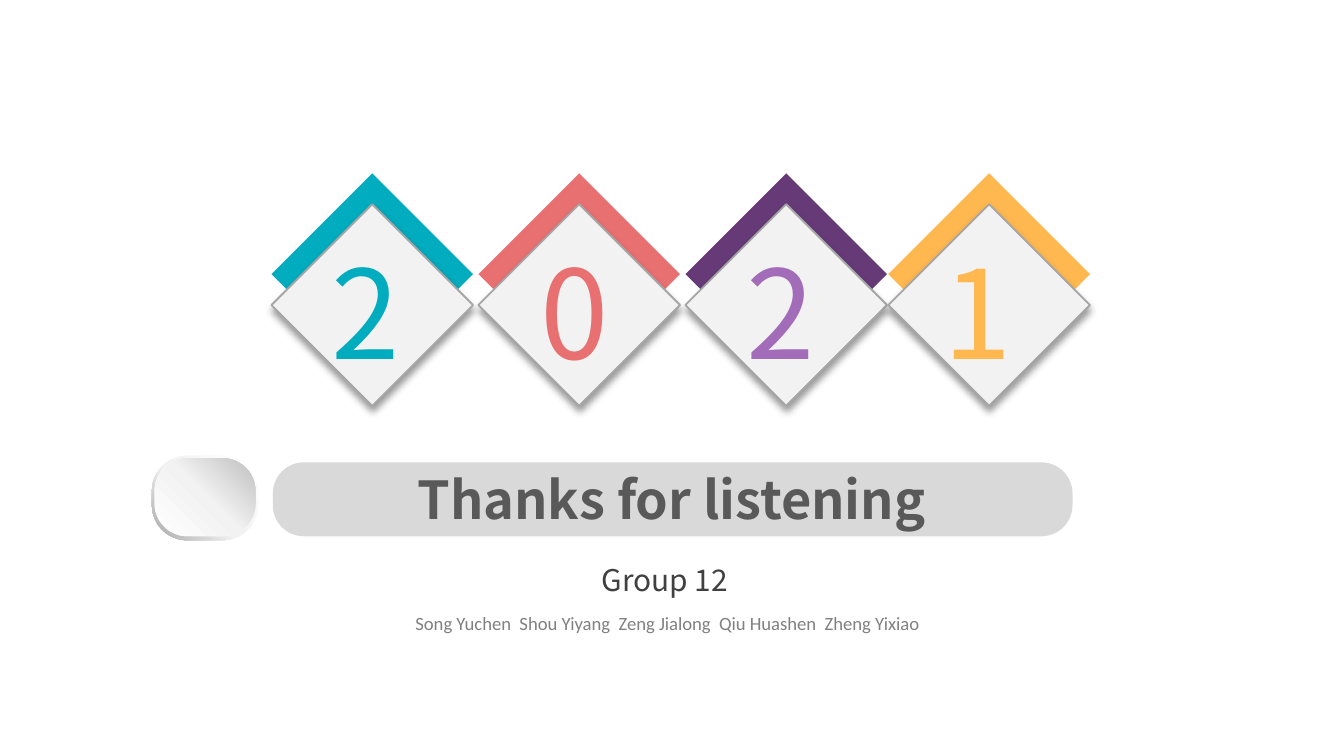
from copy import deepcopy
from dataclasses import dataclass

from pptx import Presentation
from pptx.dml.color import RGBColor
from pptx.enum.shapes import MSO_SHAPE
from pptx.enum.text import MSO_AUTO_SIZE, PP_ALIGN
from pptx.oxml import parse_xml
from pptx.oxml.ns import nsdecls, qn
from pptx.util import Inches, Pt

DIAMOND = MSO_SHAPE.FLOWCHART_DECISION
ROUNDED = MSO_SHAPE.ROUNDED_RECTANGLE
FIT_TEXT = MSO_AUTO_SIZE.SHAPE_TO_FIT_TEXT
LEFT, CENTER = PP_ALIGN.LEFT, PP_ALIGN.CENTER


@dataclass(frozen=True)
class Theme:
    """Colours, fonts and type sizes of the closing page."""
    heading_font: str = "Noto Sans CJK SC"
    body_font: str = "Calibri"
    digit_size: int = 66
    title_size: int = 28
    group_size: int = 16
    names_size: int = 10
    teal: str = "01ACBE"
    coral: str = "E87071"
    plum: str = "663A77"
    lilac: str = "A26CB8"
    amber: str = "FFB850"
    card: str = "F2F2F2"
    card_edge: str = "A6A6A6"
    shadow: str = "000000"
    banner: str = "D9D9D9"
    title: str = "595959"
    group: str = "404040"
    names: str = "808080"
    rim_stops: tuple = ((0, "FFFFFF"), (0.55, "F2F2F2"), (1, "A6A6A6"))
    face_stops: tuple = ((0, "FFFFFF"), (0.51, "F2F2F2"), (1, "BFBFBF"))


THEME = Theme()
YEAR = (
    ("2", 2.02, 2.37, THEME.teal, THEME.teal),
    ("0", 3.56, 3.92, THEME.coral, THEME.coral),
    ("2", 5.10, 5.46, THEME.plum, THEME.lilac),
    ("1", 6.61, 6.92, THEME.amber, THEME.amber),
)
NAMES = ("Song Yuchen", "Shou Yiyang", "Zeng Jialong", "Qiu Huashen", "Zheng Yixiao")


def add_figure(shapes, kind, left, top, width, height, color=None):
    """Add a flat preset shape without a line or shadow."""
    figure = shapes.add_shape(kind, Inches(left), Inches(top), Inches(width), Inches(height))
    figure.shadow.inherit = False
    figure.line.fill.background()
    if color:
        figure.fill.solid()
        figure.fill.fore_color.rgb = RGBColor.from_string(color)
    if kind == ROUNDED:
        figure.adjustments[0] = 0.42
    return figure


def add_card(shapes, left, top, size):
    """Add an outlined diamond with a soft shadow below it."""
    card = add_figure(shapes, DIAMOND, left, top, size, size, THEME.card)
    card.line.color.rgb = RGBColor.from_string(THEME.card_edge)
    card.line.width = Pt(1)
    effects = card._element.spPr.find(qn("a:effectLst"))
    effects.append(parse_xml(
        f'<a:outerShdw {nsdecls("a")} blurRad="{Pt(4)}" dist="{Pt(3)}" dir="5400000" '
        f'algn="t" rotWithShape="0"><a:srgbClr val="{THEME.shadow}">'
        '<a:alpha val="40000"/></a:srgbClr></a:outerShdw>'))


def add_gradient_pill(shapes, left, top, width, height, stops, angle):
    """Add a rounded shape with a three-stop gradient."""
    pill = add_figure(shapes, ROUNDED, left, top, width, height)
    pill.fill.gradient()
    pill.fill.gradient_angle = angle
    stop_list = pill._element.spPr.find(".//" + qn("a:gsLst"))
    stop_list.append(deepcopy(stop_list[-1]))
    for stop, (position, color) in zip(pill.fill.gradient_stops, stops):
        stop.position = position
        stop.color.rgb = RGBColor.from_string(color)


def add_text(page, text, left, top, width, height, *, size, color,
             font=THEME.heading_font, bold=False, align=LEFT):
    """Add one unwrapped line of text in the given format."""
    box = page.shapes.add_textbox(Inches(left), Inches(top), Inches(width), Inches(height))
    frame = box.text_frame
    frame.word_wrap = False
    frame.auto_size = FIT_TEXT
    para = frame.paragraphs[0]
    para.alignment = align
    span = para.add_run()
    span.text = text
    span.font.name = font
    span.font.size = Pt(size)
    span.font.bold = bold
    span.font.color.rgb = RGBColor.from_string(color)


def add_year(page):
    """Add the four diamonds, then the digits on top of them."""
    for _, left, _, roof_color, _ in YEAR:
        add_figure(page.shapes, DIAMOND, left, 1.29, 1.5, 1.5, roof_color)
        add_card(page.shapes, left, 1.52, 1.5)
    for digit, _, left, _, color in YEAR:
        add_text(page, digit, left, 1.71, 0.66, 1.21, size=THEME.digit_size, color=color)


def add_button(page):
    """Add the grouped raised button beside the banner."""
    button = page.shapes.add_group_shape()
    add_gradient_pill(button.shapes, 1.13, 3.39, 0.79, 0.63, THEME.rim_stops, 225)
    add_gradient_pill(button.shapes, 1.15, 3.41, 0.75, 0.58, THEME.face_stops, 45)


def main():
    """Build and save the closing page."""
    deck = Presentation()
    deck.slide_width = Inches(10)
    deck.slide_height = deck.slide_width * 9 // 16
    page = deck.slides.add_slide(deck.slide_layouts[6])
    add_year(page)
    add_text(page, "Group 12", 4.38, 4.13, 1.19, 0.37,
             size=THEME.group_size, color=THEME.group)
    add_figure(page.shapes, ROUNDED, 2.03, 3.44, 5.95, 0.55, THEME.banner)
    add_text(page, "Thanks for listening", 2.95, 3.43, 4.09, 0.57,
             size=THEME.title_size, color=THEME.title, bold=True, align=CENTER)
    add_button(page)
    add_text(page, "  ".join(NAMES), 2.96, 4.5, 4.01, 0.27, size=THEME.names_size,
             color=THEME.names, font=THEME.body_font, align=CENTER)
    deck.save("out.pptx")


if __name__ == "__main__":
    main()
